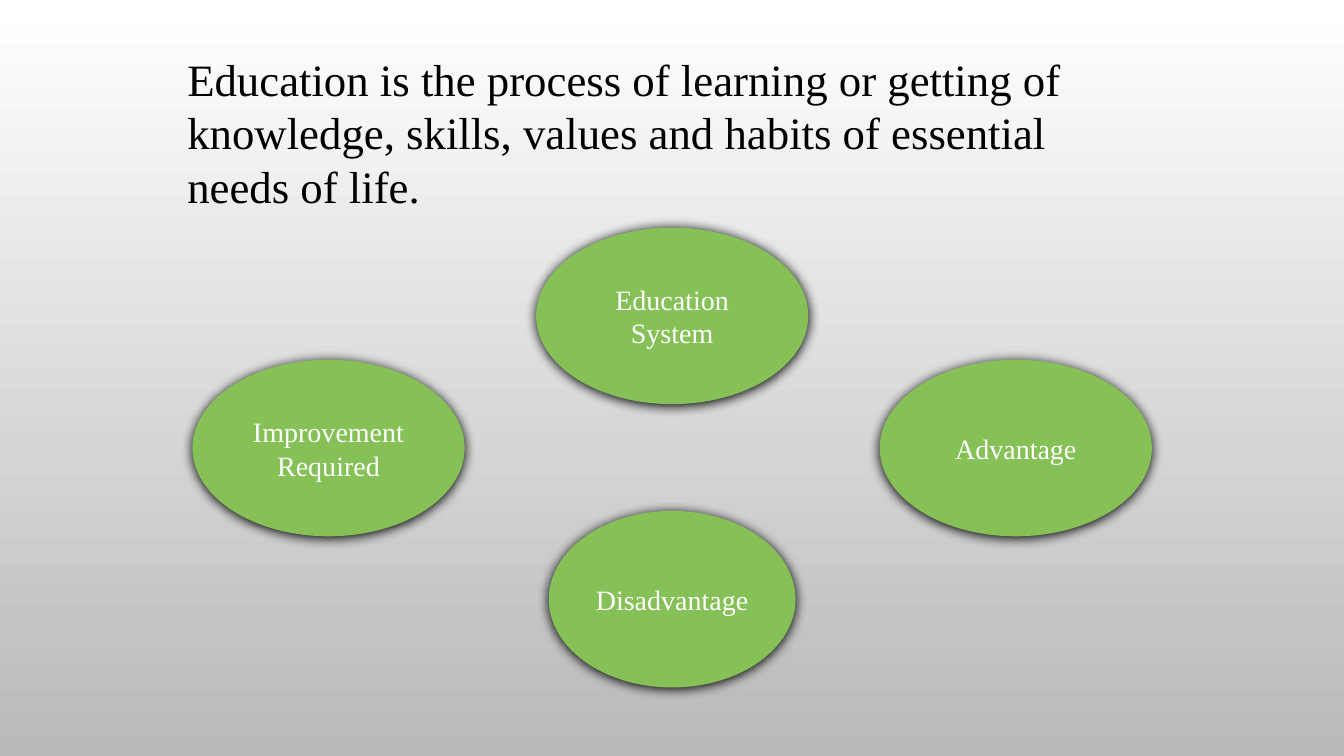
from lxml import etree
from pptx import Presentation
from pptx import util as u
from pptx.dml.color import RGBColor
from pptx.enum import shapes, text
from pptx.oxml import ns


def colour(code):
    return RGBColor.from_string(code)


class EducationSlide:
    """Draws the elements of one slide in a shared style."""

    font = "Times New Roman"
    green, white, black = "86C157", "FFFFFF", "000000"

    def __init__(self, deck):
        self.slide = deck.slides.add_slide(deck.slide_layouts[6])

    def background(self, top, bottom):
        fill = self.slide.background.fill
        fill.gradient()
        fill.gradient_angle = 270
        for stop, code in zip(fill.gradient_stops, (top, bottom)):
            stop.color.rgb = colour(code)

    def wording(self, frame, words, size, code):
        frame.word_wrap = True
        run = frame.paragraphs[0].add_run()
        run.text = words
        run.font.name = self.font
        run.font.size = u.Pt(size)
        run.font.color.rgb = colour(code)

    def shadow(self, topic):
        topic.shadow.inherit = False
        effects = topic._element.spPr.find(ns.qn("a:effectLst"))
        outer = etree.SubElement(
            effects, ns.qn("a:outerShdw"), blurRad=str(u.Pt(8.5)),
            dist=str(u.Pt(1)), dir="5400000", algn="ctr", rotWithShape="0")
        etree.SubElement(outer, ns.qn("a:srgbClr"), val=self.black)

    def topic(self, words, centre_x, centre_y, width=6.86, height=4.45):
        oval = self.slide.shapes.add_shape(
            shapes.MSO_SHAPE.OVAL,
            u.Cm(centre_x - width / 2), u.Cm(centre_y - height / 2),
            u.Cm(width), u.Cm(height))
        oval.fill.solid()
        oval.fill.fore_color.rgb = colour(self.green)
        oval.line.fill.background()
        self.shadow(oval)
        oval.text_frame.vertical_anchor = text.MSO_ANCHOR.MIDDLE
        oval.text_frame.paragraphs[0].alignment = text.PP_ALIGN.CENTER
        self.wording(oval.text_frame, words, 20, self.white)

    def definition(self, words, left, top, width, height):
        box = self.slide.shapes.add_textbox(
            u.Cm(left), u.Cm(top), u.Cm(width), u.Cm(height))
        box.text_frame.auto_size = text.MSO_AUTO_SIZE.SHAPE_TO_FIT_TEXT
        self.wording(box.text_frame, words, 32, self.black)


def main():
    deck = Presentation()
    deck.slide_width, deck.slide_height = u.Cm(33.87), u.Cm(19.05)
    middle, reach, side_y = 16.94, 8.66, 11.29

    page = EducationSlide(deck)
    page.background("FFFFFF", "B9B9B9")
    page.topic("Education System", middle, 7.96)
    page.topic("Disadvantage", middle, 15.1, width=6.22)
    page.topic("Improvement Required", middle - reach, side_y)
    page.topic("Advantage", middle + reach, side_y)
    page.definition(
        "Education is the process of learning or getting of knowledge, "
        "skills, values and habits of essential needs of life.",
        4.47, 1.17, 24.9, 4.37)
    deck.save("out.pptx")


if __name__ == "__main__":
    main()
